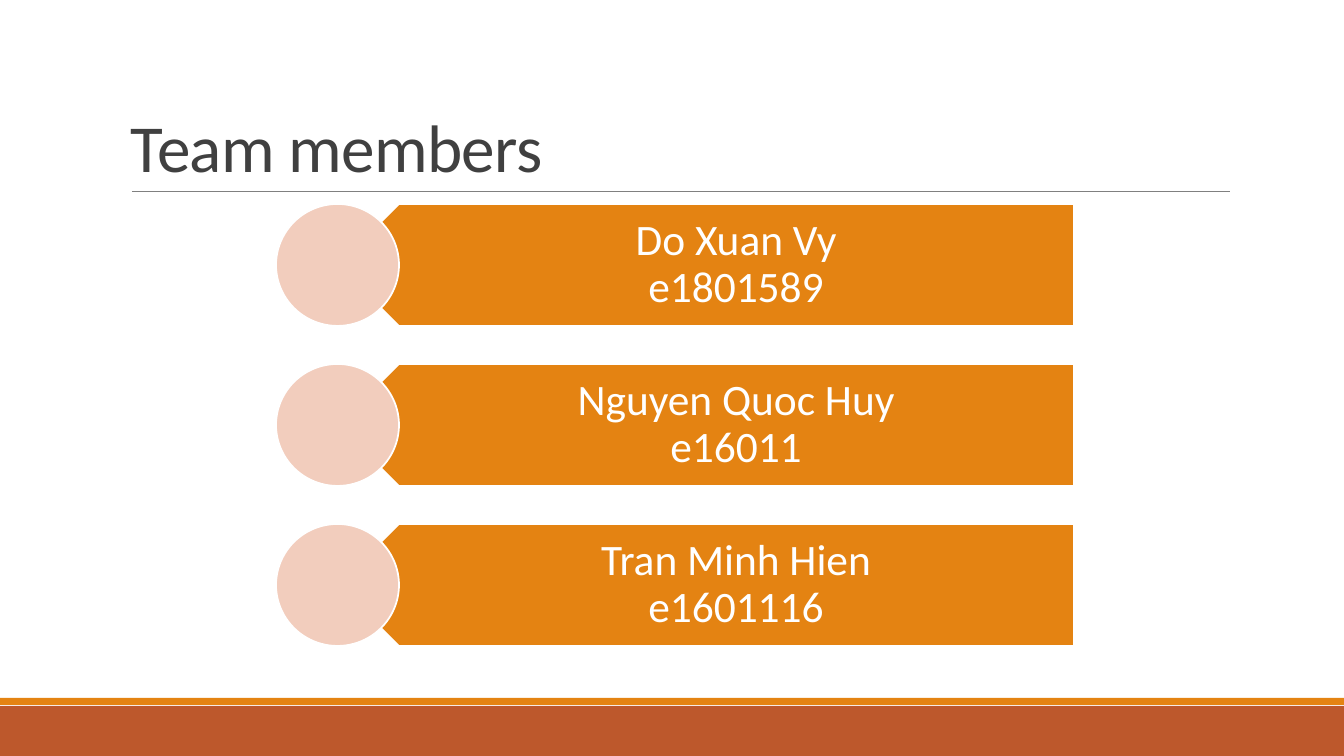
from pptx import Presentation
from pptx import util as u
from pptx.dml.color import RGBColor
from pptx.enum import shapes, text
from pptx.oxml.ns import qn

SCALE = 914400 / 100.8
WIDTH, HEIGHT = 1344, 756
ORANGE, RUST, PEACH, WHITE = "E48312", "BD582C", "F2CDBD", "FFFFFF"
MEMBERS = [
    ("Do Xuan Vy", "e1801589"),
    ("Nguyen Quoc Huy", "e16011"),
    ("Tran Minh Hien", "e1601116"),
]
ROW_TOP, ROW_STEP, ROW_HEIGHT = 204, 160, 122


def px(length):
    return u.Emu(round(length * SCALE))


def color(value):
    return RGBColor.from_string(value)


def add_shape(slide, kind, box, fill, outline=None, rotation=0):
    shape = slide.shapes.add_shape(kind, *map(px, box))
    shape.shadow.inherit = False
    shape.rotation = rotation
    shape.fill.solid()
    shape.fill.fore_color.rgb = color(fill)
    if outline:
        shape.line.color.rgb = color(outline)
        shape.line.width = u.Pt(1.25)
    else:
        shape.line.fill.background()
    return shape


def add_rule(slide, left, right, top):
    line = slide.shapes.add_connector(
        shapes.MSO_CONNECTOR.STRAIGHT, px(left), px(top), px(right), px(top))
    line.line.color.rgb = color("808080")
    line.line.width = u.Pt(0.5)
    properties = line._element.spPr
    properties.append(properties.makeelement(qn("a:effectLst"), {}))


def add_text(slide, content, box, size, fill, spacing, anchor,
             align=text.PP_ALIGN.LEFT, margins=(10, 5, 10, 5), tracking=0):
    frame = slide.shapes.add_textbox(*map(px, box)).text_frame
    frame.word_wrap = True
    frame.vertical_anchor = anchor
    (frame.margin_left, frame.margin_top,
     frame.margin_right, frame.margin_bottom) = map(px, margins)
    paragraph = frame.paragraphs[0]
    paragraph.text = content
    paragraph.alignment = align
    paragraph.line_spacing = spacing
    for run in paragraph.runs:
        run.font.name = "Calibri"
        run.font.size = u.Pt(size)
        run.font.color.rgb = color(fill)
        if tracking:
            run.font._element.set("spc", str(round(tracking * 100)))


def add_member(slide, top, name, number):
    # Arrow bar pointing left, its label, and the circle over its tip
    add_shape(slide, shapes.MSO_SHAPE.PENTAGON, (338, top, 736, ROW_HEIGHT),
              ORANGE, WHITE, rotation=180)
    add_text(slide, f"{name}\v{number}", (368, top, 706, ROW_HEIGHT), 31, WHITE,
             0.9, text.MSO_ANCHOR.MIDDLE, text.PP_ALIGN.CENTER, (54, 13, 24, 13))
    add_shape(slide, shapes.MSO_SHAPE.OVAL, (276, top, ROW_HEIGHT + 1, ROW_HEIGHT),
              PEACH, WHITE)


def main():
    presentation = Presentation()
    presentation.slide_width, presentation.slide_height = px(WIDTH), px(HEIGHT)
    slide = presentation.slides.add_slide(presentation.slide_layouts[6])

    # Footer bands
    add_shape(slide, shapes.MSO_SHAPE.RECTANGLE, (0, 706, WIDTH, 50), RUST)
    add_shape(slide, shapes.MSO_SHAPE.RECTANGLE, (0, 698, WIDTH, 7), ORANGE)

    # Title and rule
    add_rule(slide, 132, 1230, 191)
    add_text(slide, "Team members", (121, 31, 1109, 160), 48, "404040",
             0.85, text.MSO_ANCHOR.BOTTOM, tracking=-0.5)

    # Team rows
    for index, (name, number) in enumerate(MEMBERS):
        add_member(slide, ROW_TOP + index * ROW_STEP, name, number)

    presentation.save("out.pptx")


main()
